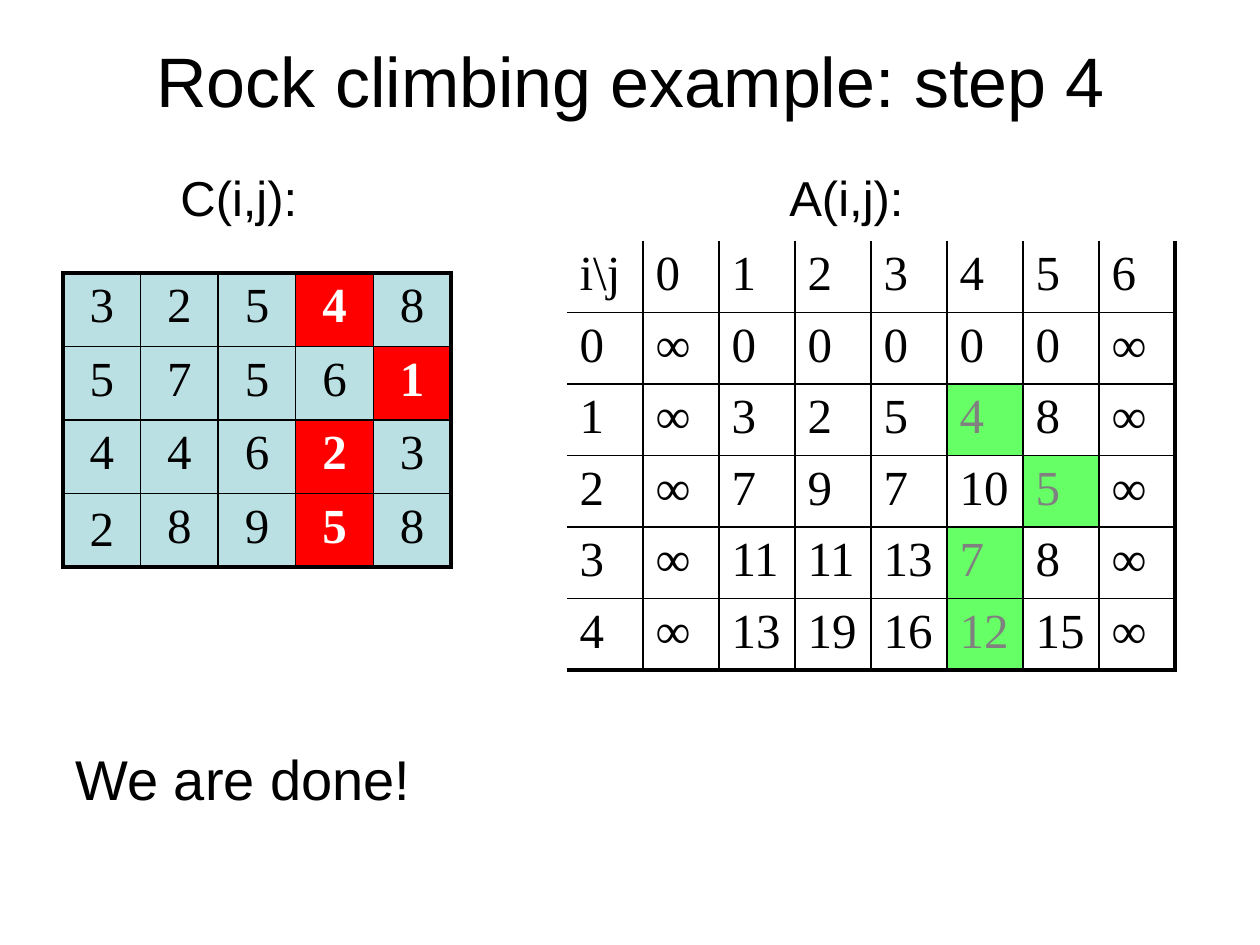
from dataclasses import dataclass

from lxml import etree
from pptx import Presentation
from pptx.dml.color import RGBColor as Rgb
from pptx.enum import text as t
from pptx.oxml import ns
from pptx.util import Pt


@dataclass(frozen=True)
class Theme:
    sans: str = "Arial"
    serif: str = "Times New Roman"
    ink: str = "000000"
    white: str = "FFFFFF"
    blue: str = "BBE0E3"
    red: str = "FF0000"
    green: str = "66FF66"
    gray: str = "808080"
    head: int = 40
    note: int = 32
    base: int = 28
    thin: float = 1
    thick: float = 2.25


@dataclass(frozen=True)
class Look:
    align: int
    fill: str
    mark: str
    font: str
    bold: bool
    open: bool


TH = Theme()
COST = Look(t.PP_ALIGN.CENTER, TH.blue, TH.red, TH.white, True, False)
BEST = Look(t.PP_ALIGN.LEFT, None, TH.green, TH.gray, False, True)

COSTS = """3 2 5 4 8
5 7 5 6 1
4 4 6 2 3
2 8 9 5 8"""
COST_PATH = {(0, 3), (1, 4), (2, 3), (3, 3)}

SUMS = r"""i\j 0 1 2 3 4 5 6
0 ∞ 0 0 0 0 0 ∞
1 ∞ 3 2 5 4 8 ∞
2 ∞ 7 9 7 10 5 ∞
3 ∞ 11 11 13 7 8 ∞
4 ∞ 13 19 16 12 15 ∞"""
SUM_PATH = {(2, 5), (3, 6), (4, 5), (5, 5)}


def px(n):
    return round(n * 914400 / 126)


def write(para, words, size, face, hue=TH.ink, bold=False):
    run = para.add_run()
    run.text = words
    run.font.size = Pt(size)
    run.font.name = face
    run.font.bold = bold
    run.font.color.rgb = Rgb.from_string(hue)


def border(cell, side, width):
    props = cell._tc.get_or_add_tcPr()
    line = etree.SubElement(props, ns.qn("a:ln" + side))
    if not width:
        etree.SubElement(line, ns.qn("a:noFill"))
        return
    line.set("w", str(Pt(width)))
    solid = etree.SubElement(line, ns.qn("a:solidFill"))
    etree.SubElement(solid, ns.qn("a:srgbClr"), val=TH.ink)


def title(slide, box, words):
    shape = slide.shapes.title
    shape.left, shape.top, shape.width, shape.height = map(px, box)
    frame = shape.text_frame
    frame.vertical_anchor = t.MSO_ANCHOR.MIDDLE
    para = frame.paragraphs[0]
    para.alignment = t.PP_ALIGN.CENTER
    write(para, words, TH.head, TH.sans)


def label(slide, box, words, size, wrap=False):
    frame = slide.shapes.add_textbox(*map(px, box)).text_frame
    frame.word_wrap = wrap
    frame.auto_size = t.MSO_AUTO_SIZE.SHAPE_TO_FIT_TEXT
    para = frame.paragraphs[0]
    para.line_spacing = 0.9
    write(para, words, size, TH.sans)


def grid(slide, box, data, path, look):
    rows = [line.split() for line in data.splitlines()]
    high, wide = len(rows), len(rows[0])
    table = slide.shapes.add_table(high, wide, *map(px, box)).table
    table.first_row = table.horz_banding = False
    for col in table.columns:
        col.width = px(box[2] / wide)
    for row in table.rows:
        row.height = px(box[3] / high)
    start = 0 if look.open else TH.thick
    for r, row in enumerate(rows):
        for c, words in enumerate(row):
            cell = table.cell(r, c)
            border(cell, "L", TH.thin if c else start)
            border(cell, "R", TH.thin if c < wide - 1 else TH.thick)
            border(cell, "T", TH.thin if r else start)
            border(cell, "B", TH.thin if r < high - 1 else TH.thick)
            hit = (r, c) in path
            fill = look.mark if hit else look.fill
            if fill:
                cell.fill.solid()
                cell.fill.fore_color.rgb = Rgb.from_string(fill)
            else:
                cell.fill.background()
            para = cell.text_frame.paragraphs[0]
            para.alignment = look.align
            hue = look.font if hit else TH.ink
            write(para, words, TH.base, TH.serif, hue, hit and look.bold)
    return table


def main():
    deck = Presentation()
    deck.slide_width, deck.slide_height = px(1260), px(945)
    slide = deck.slides.add_slide(deck.slide_layouts[5])
    title(slide, (95, 0, 1071, 158), "Rock climbing example: step 4")
    cost = grid(slide, (63, 273, 388, 294), COSTS, COST_PATH, COST)
    cost.cell(3, 0).vertical_anchor = t.MSO_ANCHOR.MIDDLE
    label(slide, (168, 168, 144, 66), "C(i,j):", TH.base)
    label(slide, (777, 168, 146, 66), "A(i,j):", TH.base)
    label(slide, (63, 746, 1104, 73), "We are done!", TH.note, True)
    grid(slide, (567, 241, 608, 429), SUMS, SUM_PATH, BEST)
    deck.save("out.pptx")


if __name__ == "__main__":
    main()
